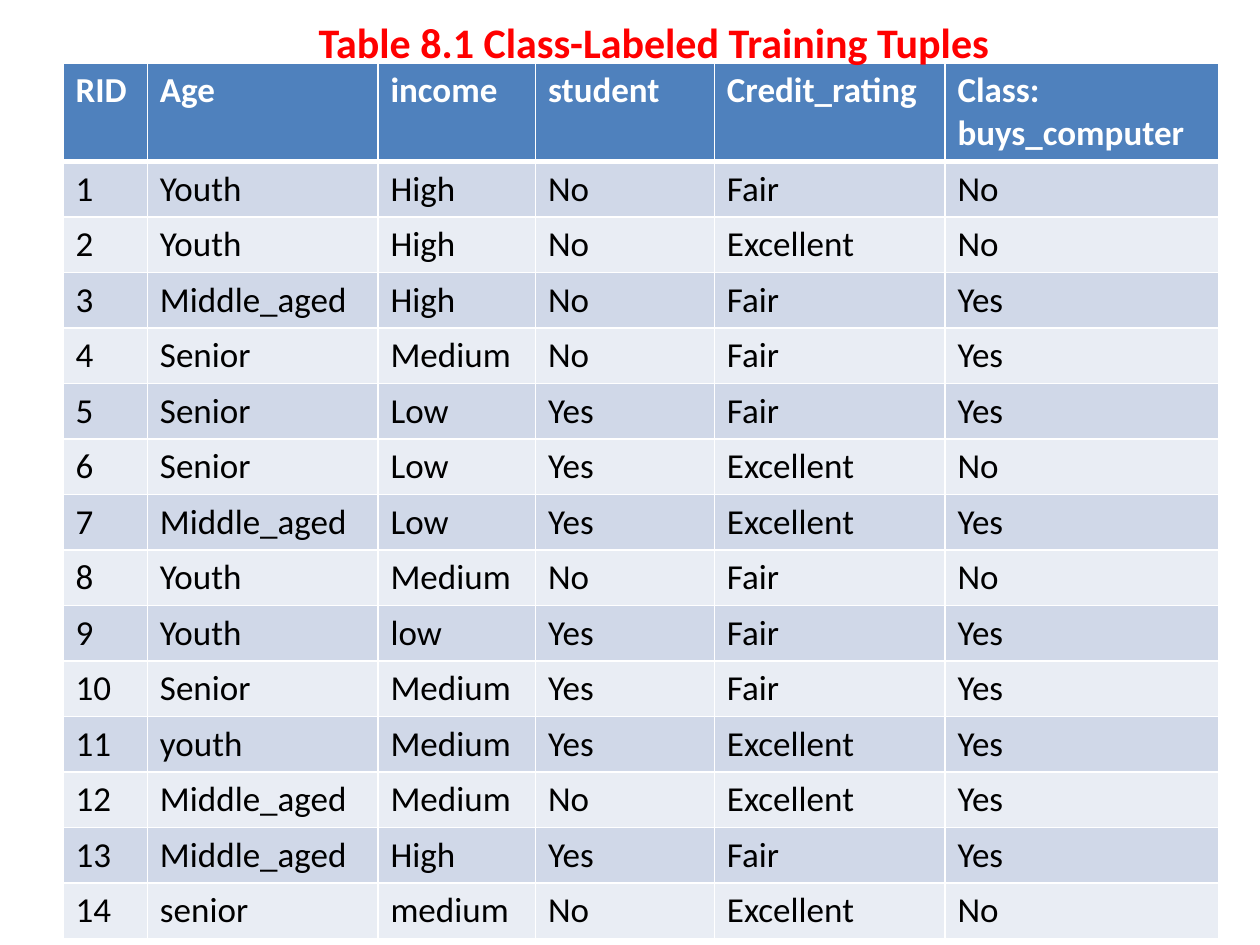
from lxml import etree
from pptx import Presentation
from pptx.dml.color import RGBColor
from pptx.enum.text import MSO_AUTO_SIZE
from pptx.oxml.ns import qn
from pptx.util import Inches, Pt

COLORS = {"header": "4F81BD", "odd": "D0D8E8", "even": "E9EDF4",
          "white": "FFFFFF", "black": "000000", "title": "FF0000"}

HEADERS = ["RID", "Age", "income", "student", "Credit_rating", "Class: buys_computer"]
TUPLES = [
    ["Youth", "High", "No", "Fair", "No"],
    ["Youth", "High", "No", "Excellent", "No"],
    ["Middle_aged", "High", "No", "Fair", "Yes"],
    ["Senior", "Medium", "No", "Fair", "Yes"],
    ["Senior", "Low", "Yes", "Fair", "Yes"],
    ["Senior", "Low", "Yes", "Excellent", "No"],
    ["Middle_aged", "Low", "Yes", "Excellent", "Yes"],
    ["Youth", "Medium", "No", "Fair", "No"],
    ["Youth", "low", "Yes", "Fair", "Yes"],
    ["Senior", "Medium", "Yes", "Fair", "Yes"],
    ["youth", "Medium", "Yes", "Excellent", "Yes"],
    ["Middle_aged", "Medium", "No", "Excellent", "Yes"],
    ["Middle_aged", "High", "Yes", "Fair", "Yes"],
    ["senior", "medium", "No", "Excellent", "No"],
]
COL_WIDTHS = [0.67, 1.83, 1.25, 1.42, 1.83, 2.17]


def add_run(p, text, size, color, bold):
    r = p.add_run()
    r.text = text
    r.font.name = "Calibri"
    r.font.size = Pt(size)
    r.font.bold = bold
    r.font.color.rgb = RGBColor.from_string(COLORS[color])


def set_borders(cell, top, bottom):
    tc_pr = cell._tc.get_or_add_tcPr()
    for side, width in (("L", 1), ("R", 1), ("T", top), ("B", bottom)):
        ln = etree.SubElement(tc_pr, qn(f"a:ln{side}"), w=str(Pt(width)))
        fill = etree.SubElement(ln, qn("a:solidFill"))
        etree.SubElement(fill, qn("a:srgbClr"), val=COLORS["white"])


prs = Presentation()
prs.slide_width, prs.slide_height = Inches(10), Inches(7.5)
slide = prs.slides.add_slide(prs.slide_layouts[6])

# Training tuples, numbered from 1
rows = [HEADERS] + [[str(n)] + values for n, values in enumerate(TUPLES, 1)]
s = slide.shapes.add_table(len(rows), len(HEADERS), Inches(0.5), Inches(0.5),
                           Inches(9.17), Inches(6.83))
table = s.table
for col, width in zip(table.columns, COL_WIDTHS):
    col.width = Inches(width)

for i, values in enumerate(rows):
    is_header = i == 0
    table.rows[i].height = Inches(0.68 if is_header else 0.39)
    fill = "header" if is_header else "odd" if i % 2 else "even"
    for j, text in enumerate(values):
        cell = table.cell(i, j)
        # The rule under the header is thicker than the grid
        set_borders(cell, top=3 if i == 1 else 1, bottom=3 if is_header else 1)
        cell.fill.solid()
        cell.fill.fore_color.rgb = RGBColor.from_string(COLORS[fill])
        add_run(cell.text_frame.paragraphs[0], text, 20,
                "white" if is_header else "black", is_header)
s.height = Inches(6.83)

# Title
sp = slide.shapes.add_textbox(Inches(2.43), Inches(0.08), Inches(5.58), Inches(0.5))
tf = sp.text_frame
tf.word_wrap = False
tf.auto_size = MSO_AUTO_SIZE.SHAPE_TO_FIT_TEXT
add_run(tf.paragraphs[0], "Table 8.1 Class-Labeled Training Tuples", 24, "title", True)

prs.save("out.pptx")
